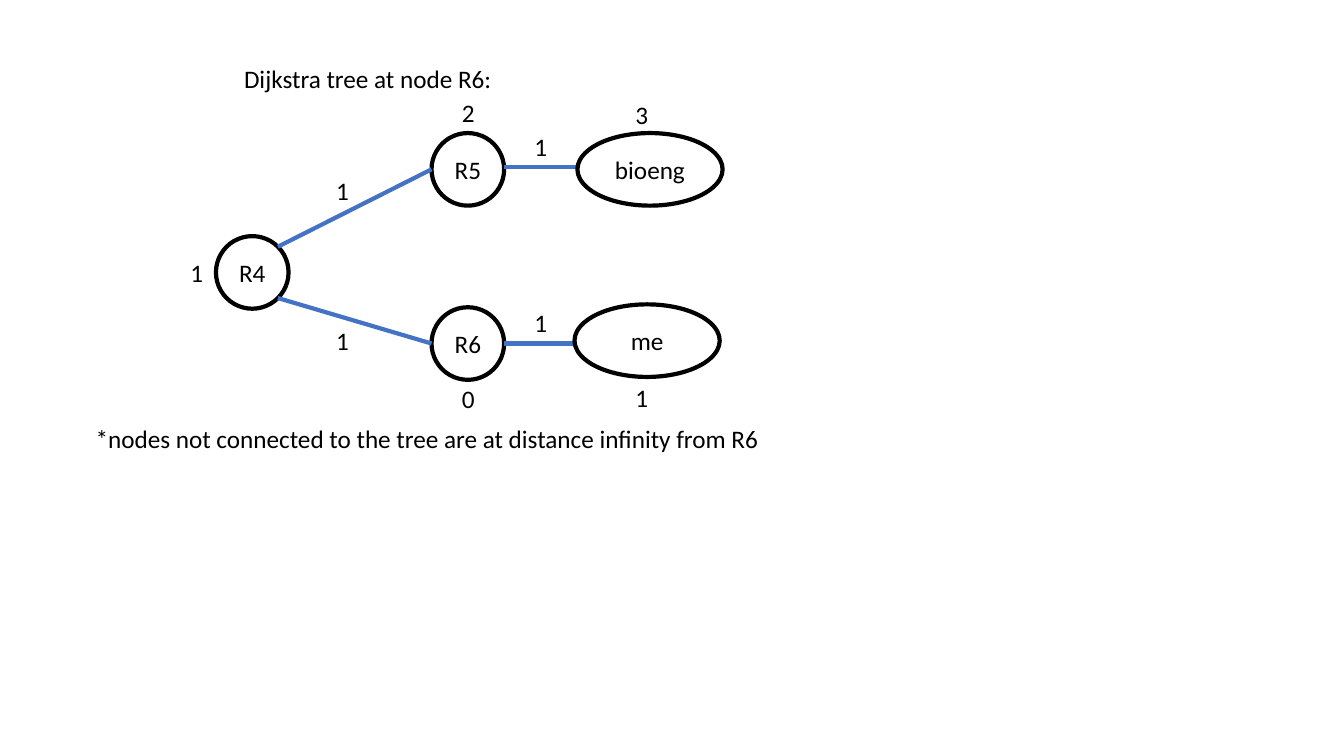
from math import cos, radians, sin

from lxml.etree import SubElement
from pptx import Presentation
from pptx.dml.color import RGBColor
from pptx.enum.shapes import MSO_CONNECTOR, MSO_SHAPE
from pptx.enum.text import MSO_ANCHOR, MSO_AUTO_SIZE, PP_ALIGN
from pptx.oxml.ns import qn
from pptx.util import Inches, Pt


def color(hex_string):
    return RGBColor.from_string(hex_string)


class TreeSlide:
    """Slide style and a square grid whose cell is one router wide."""

    FONT, TEXT_SIZE, LINE_WIDTH = "Calibri", 18, 3
    INK, EDGE = "000000", "4472C4"
    CELL, LEFT, TOP = 0.72, 2.12, 1.32
    LABEL_HEIGHT = 0.55

    def __init__(self, presentation):
        self.slide = presentation.slides.add_slide(presentation.slide_layouts[6])
        self.shapes = self.slide.shapes

    def point(self, column, row):
        return (Inches(self.LEFT + column * self.CELL),
                Inches(self.TOP + row * self.CELL))

    def size(self, columns, rows):
        return Inches(columns * self.CELL), Inches(rows * self.CELL)

    def add_text(self, paragraph, text):
        run = paragraph.add_run()
        run.text = text
        run.font.name = self.FONT
        run.font.size = Pt(self.TEXT_SIZE)
        run.font.color.rgb = color(self.INK)

    def outline(self, line, hex_string):
        line.color.rgb = color(hex_string)
        line.width = Pt(self.LINE_WIDTH)

    def node(self, name, column, row, columns=1):
        shape = self.shapes.add_shape(
            MSO_SHAPE.OVAL, *self.point(column, row), *self.size(columns, 1))
        shape.shadow.inherit = False
        shape.fill.background()
        self.outline(shape.line, self.INK)
        frame = shape.text_frame
        frame.vertical_anchor = MSO_ANCHOR.MIDDLE
        paragraph = frame.paragraphs[0]
        paragraph.alignment = PP_ALIGN.CENTER
        self.add_text(paragraph, name)

    def edge(self, start, end):
        connector = self.shapes.add_connector(
            MSO_CONNECTOR.STRAIGHT, *self.point(*start), *self.point(*end))
        self.outline(connector.line, self.EDGE)
        SubElement(connector._element.spPr, qn("a:effectLst"))

    def label(self, text, column, row, columns=0.46):
        """Place a text box centred on a grid point."""
        box = self.shapes.add_textbox(
            *self.point(column - columns / 2, row - self.LABEL_HEIGHT / 2),
            *self.size(columns, self.LABEL_HEIGHT))
        frame = box.text_frame
        frame.word_wrap = False
        frame.auto_size = MSO_AUTO_SIZE.SHAPE_TO_FIT_TEXT
        self.add_text(frame.paragraphs[0], text)


def rim(position, degrees):
    """Point on a router's circle, clockwise from its right side."""
    column, row = position
    angle = radians(degrees)
    return column + 0.5 + cos(angle) / 2, row + 0.5 + sin(angle) / 2


ROUTERS = {"R5": (3, 0), "R4": (0.03, 1.42), "R6": (3, 2.4)}
HOSTS = {"bioeng": (5.01, 0), "me": (4.97, 2.36)}
BRANCHES = [("R5", -45), ("R6", 45)]
HOST_LINK_ROWS = [0.47, 2.9]
DISTANCES = [("2", 3.51, -0.28), ("1", -0.23, 1.92), ("0", 3.51, 3.65),
             ("3", 5.9, -0.26), ("1", 5.9, 3.64)]
COSTS = [("1", 1.78, 0.79), ("1", 1.78, 2.86),
         ("1", 4.51, 0.18), ("1", 4.51, 2.61)]


def main():
    presentation = Presentation()
    presentation.slide_width = Inches(13.33)
    presentation.slide_height = Inches(7.5)
    tree = TreeSlide(presentation)

    # Title and footnote
    tree.label("Dijkstra tree at node R6:", 2.14, -0.75, 3.72)
    tree.label("*nodes not connected to the tree are at distance infinity from R6",
               3, 4.21, 9.53)

    # Routers
    for name, position in ROUTERS.items():
        tree.node(name, *position)

    # Tree edges
    for router, degrees in BRANCHES:
        tree.edge(rim(ROUTERS[router], 180), rim(ROUTERS["R4"], degrees))
    for row in HOST_LINK_ROWS:
        tree.edge((5, row), (4, row))

    # Hosts
    for name, position in HOSTS.items():
        tree.node(name, *position, columns=2)

    # Node distances and edge costs
    for text, column, row in DISTANCES + COSTS:
        tree.label(text, column, row)

    presentation.save("out.pptx")


if __name__ == "__main__":
    main()
